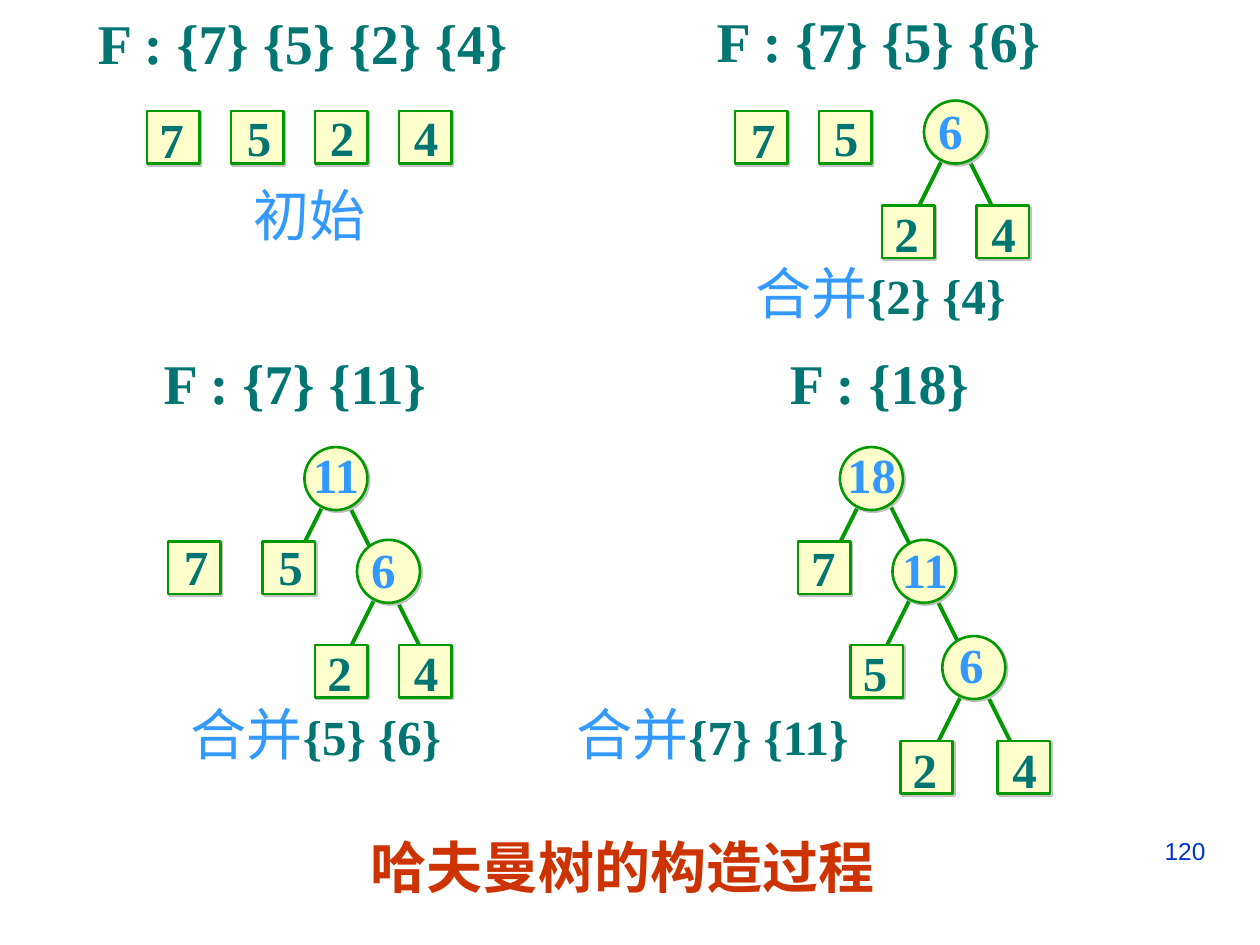
import pptx
import pptx.dml.color
import pptx.enum.shapes
import pptx.enum.text
import pptx.oxml
import pptx.oxml.ns
import pptx.util

Pt = pptx.util.Pt
RGB = pptx.dml.color.RGBColor
KIND = pptx.enum.shapes.MSO_SHAPE
ALIGN = pptx.enum.text.PP_ALIGN
ANCHOR = pptx.enum.text.MSO_ANCHOR

TEAL = RGB(0x00, 0x75, 0x72)
SKY = RGB(0x33, 0x99, 0xFF)
GREEN = RGB(0x00, 0x99, 0x00)
CREAM = RGB(0xFF, 0xFF, 0xCC)
RUST = RGB(0xCC, 0x33, 0x00)
NAVY = RGB(0x00, 0x33, 0xCC)

SHADE = (
    '<a:outerShdw %s blurRad="0" dist="17960" dir="2700000" algn="ctr" rotWithShape="0">'
    '<a:srgbClr val="C0C0C0"/></a:outerShdw>' % pptx.oxml.ns.nsdecls("a")
)


class Board:
    """Draw the steps of a Huffman tree on one slide."""

    font = "Times New Roman"
    leaf = 30
    ring = 36

    def __init__(self, deck):
        self.slide = deck.slides.add_slide(deck.slide_layouts[6])
        self.shapes = self.slide.shapes

    def group(self):
        self.shapes = self.slide.shapes.add_group_shape().shapes

    def ungroup(self):
        self.shapes = self.slide.shapes

    def text(self, x, y, w, h, runs, align=ALIGN.CENTER, anchor=ANCHOR.MIDDLE, font=None):
        box = self.shapes.add_textbox(Pt(x), Pt(y), Pt(w), Pt(h))
        frame = box.text_frame
        frame.word_wrap = False
        frame.auto_size = pptx.enum.text.MSO_AUTO_SIZE.SHAPE_TO_FIT_TEXT
        frame.vertical_anchor = anchor
        para = frame.paragraphs[0]
        para.alignment = align
        for words, size, color, bold in runs:
            run = para.add_run()
            run.text = words
            run.font.name = font or self.font
            run.font.size = Pt(size)
            run.font.bold = bold
            run.font.color.rgb = color

    def forest(self, x, y, w, words):
        self.text(x, y, w, 46, [(words, 32, TEAL, True)])

    def merge(self, x, y, w, pair):
        self.text(x, y, w, 46, [("合并", 32, SKY, False), (pair, 28, TEAL, True)])

    def edge(self, x, y, side):
        line = self.shapes.add_connector(
            pptx.enum.shapes.MSO_CONNECTOR.STRAIGHT,
            Pt(x), Pt(y), Pt(x + 18 * side), Pt(y + 36))
        line.line.color.rgb = GREEN
        line.line.width = Pt(2.25)
        line._element.spPr.append(
            pptx.oxml.parse_xml("<a:effectLst %s/>" % pptx.oxml.ns.nsdecls("a")))

    def node(self, kind, size, x, y):
        shape = self.shapes.add_shape(kind, Pt(x), Pt(y), Pt(size), Pt(size))
        shape.fill.solid()
        shape.fill.fore_color.rgb = CREAM
        shape.line.color.rgb = GREEN
        shape.line.width = Pt(1.5)
        shape.shadow.inherit = False
        glow = shape._element.spPr.find(pptx.oxml.ns.qn("a:effectLst"))
        glow.append(pptx.oxml.parse_xml(SHADE))

    def label(self, size, x, y, key, dx, dy, color):
        wide = 28 if len(key) == 1 else 48
        left = x + (size - wide) / 2 + dx
        self.text(left, y + dy, wide, 41, [(key, 28, color, True)])

    def tree(self, edges, leaves, rings):
        for edge in edges:
            self.edge(*edge)
        kinds = ((KIND.RECTANGLE, self.leaf, leaves, TEAL),
                 (KIND.OVAL, self.ring, rings, SKY))
        for kind, size, nodes, _ in kinds:
            for _, x, y, _, _ in nodes:
                self.node(kind, size, x, y)
        for _, size, nodes, color in kinds:
            for key, x, y, dx, dy in nodes:
                self.label(size, x, y, key, dx, dy, color)


def main():
    deck = pptx.Presentation()
    deck.slide_width, deck.slide_height = Pt(720), Pt(540)
    board = Board(deck)
    board.text(516, 474, 180, 37, [("120", 14, NAVY, False)],
               ALIGN.RIGHT, ANCHOR.TOP, "Arial")

    board.group()
    board.forest(48, 1, 250, "F : {7} {5} {2} {4}")
    board.tree([], [("7", 84, 63.5, -1, -4.5), ("5", 132, 63.5, 1, -6),
                    ("2", 180, 63.5, 0.5, -6), ("4", 228, 63.5, 0.5, -6)], [])
    board.text(137.5, 99.5, 78.5, 46, [("初始", 32, SKY, False)])

    board.group()
    board.forest(402, 0, 200, "F : {7} {5} {6}")
    board.tree([(552, 88, 1), (540, 88, -1)],
               [("7", 420, 63.5, 1, -4.5), ("5", 468, 63.5, 0.5, -6),
                ("2", 504, 117.5, -1, -5), ("4", 558, 117.5, 0.5, -5)],
               [("6", 528, 57.5, -3, -3.5)])
    board.merge(420.5, 144, 165, "{2} {4}")

    board.group()
    board.forest(85, 195.5, 175, "F : {7} {11} ")
    board.tree([(186, 286, -1), (198, 286, 1), (228, 345.5, 1), (216, 338.5, -1)],
               [("7", 96, 309.5, 1, -6.5), ("5", 150, 309.5, 1, -6.5),
                ("2", 180, 368.5, -1, -5), ("4", 228, 368.5, 0.5, -5)],
               [("6", 204, 308.5, -3, -4), ("11", 174, 255.5, 0, -5)])
    board.merge(98, 396, 165, "{5} {6}")

    board.group()
    board.forest(443.5, 195.5, 126, "F : {18} ")
    board.tree([(492, 286, -1), (504, 279.5, 1), (534, 340, 1),
                (522, 338.5, -1), (562.5, 394, 1), (551, 394, -1)],
               [("7", 456, 309.5, -0.5, -6), ("5", 486, 368.5, -1, -5),
                ("2", 514.5, 423.5, -1, -4.5), ("4", 570, 423.5, 0.5, -4.5)],
               [("11", 510, 308.5, 0.5, -4), ("18", 480, 255.5, 0, -5),
                ("6", 538.5, 363.5, -1.5, -4.5)])
    board.merge(317.5, 396, 179, "{7} {11}")

    board.ungroup()
    board.text(204.5, 472, 302.5, 46, [("哈夫曼树的构造过程", 32, RUST, True)],
               ALIGN.LEFT, ANCHOR.TOP)
    deck.save("out.pptx")


if __name__ == "__main__":
    main()
